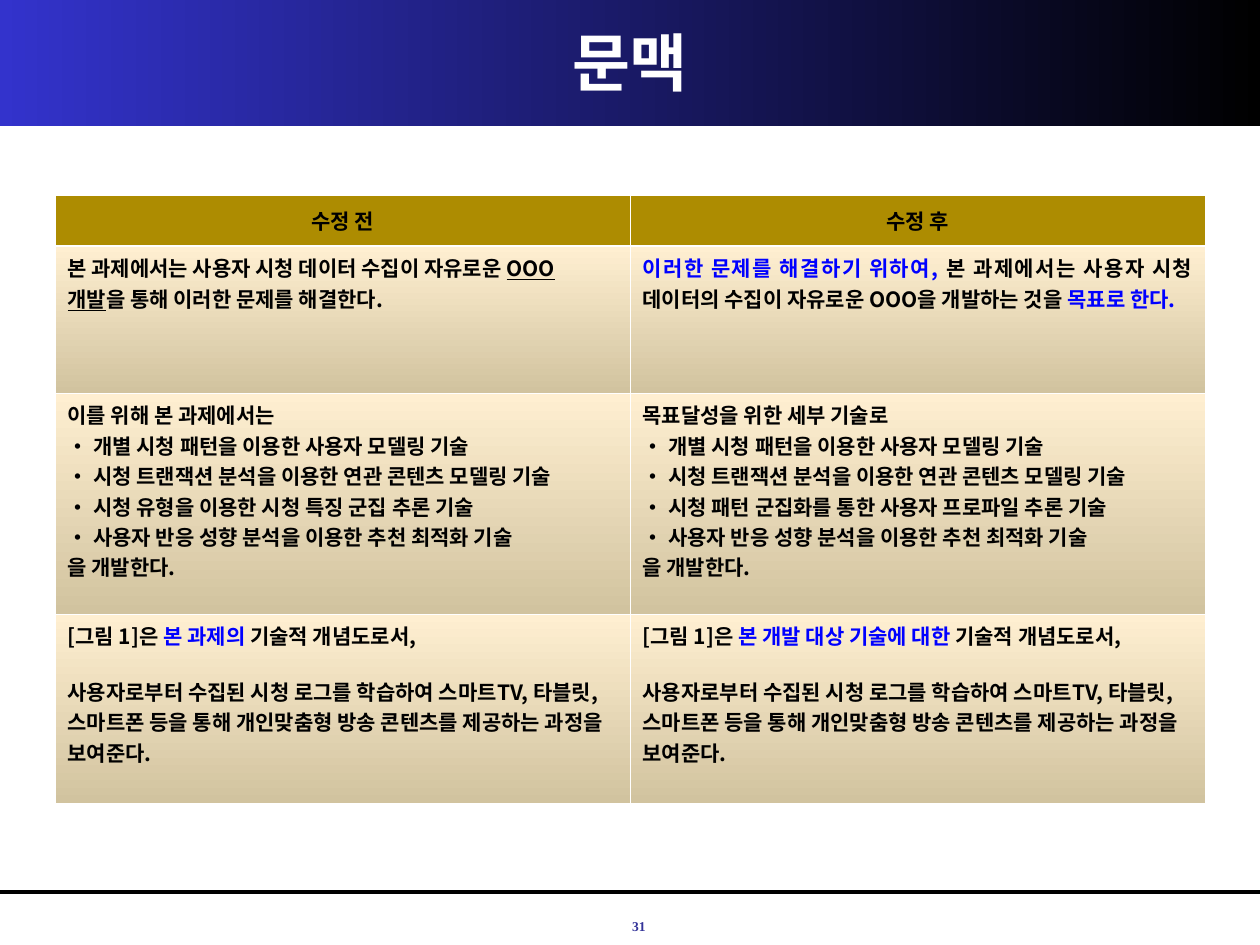
"""Build the slide that compares the wording before and after revision."""
from dataclasses import dataclass

from lxml.etree import SubElement
from pptx import Presentation
from pptx.dml.color import RGBColor
from pptx.enum.shapes import MSO_CONNECTOR as Link, MSO_SHAPE as Shape
from pptx.enum.text import MSO_ANCHOR as Anchor, PP_ALIGN as Align
from pptx.oxml import parse_xml
from pptx.oxml.ns import nsdecls, qn
from pptx.util import Emu, Pt

SCALE = 914400 / 126
SANS, SERIF = "Noto Sans CJK KR", "Times New Roman"
BLACK = RGBColor(0x00, 0x00, 0x00)
WHITE = RGBColor(0xFF, 0xFF, 0xFF)
BLUE = RGBColor(0x00, 0x00, 0xFF)
ROYAL = RGBColor(0x33, 0x33, 0xCC)
NAVY = RGBColor(0x33, 0x33, 0x99)
GOLD = RGBColor(0xAD, 0x8C, 0x01)
CREAM = RGBColor(0xFF, 0xEF, 0xD1)
SAND = RGBColor(0xD1, 0xC3, 0x9F)


@dataclass(frozen=True)
class Span:
    text: str
    color: RGBColor = BLACK
    under: bool = False


@dataclass(frozen=True)
class Para:
    spans: tuple[Span, ...]
    align: Align = Align.LEFT
    after: float = 0


def plain(text: str, align: Align = Align.LEFT) -> Para:
    return Para((Span(text),), align)


def tasks(lead: str, third: str) -> list[Para]:
    items = (
        "개별 시청 패턴을 이용한 사용자 모델링 기술",
        "시청 트랜잭션 분석을 이용한 연관 콘텐츠 모델링 기술",
        third,
        "사용자 반응 성향 분석을 이용한 추천 최적화 기술",
    )
    return [plain(lead), *(plain(f"• {item}") for item in items), plain("을 개발한다.")]


def figure(topic: str) -> list[Para]:
    head = Span("[그림 1]은 "), Span(topic, BLUE), Span("기술적 개념도로서,")
    body = ("사용자로부터 수집된 시청 로그를 학습하여 스마트TV, 타블릿, 스마트폰 등을 통해 "
            "개인맞춤형 방송 콘텐츠를 제공하는 과정을 보여준다.")
    return [Para(head, after=14.5), plain(body)]


HEIGHTS = 51, 147, 221, 189
ROWS = [
    [[plain("수정 전", Align.CENTER)], [plain("수정 후", Align.CENTER)]],
    [
        [Para((Span("본 과제에서는 사용자 시청 데이터 수집이 자유로운 "),
               Span("OOO 개발", under=True),
               Span("을 통해 이러한 문제를 해결한다.")))],
        [Para((Span("이러한 문제를 해결하기 위하여, ", BLUE),
               Span("본 과제에서는 사용자 시청 데이터의 수집이 자유로운 OOO을 개발하는 것을 "),
               Span("목표로 한다. ", BLUE)), Align.JUSTIFY, 5)],
    ],
    [tasks("이를 위해 본 과제에서는", "시청 유형을 이용한 시청 특징 군집 추론 기술"),
     tasks("목표달성을 위한 세부 기술로", "시청 패턴 군집화를 통한 사용자 프로파일 추론 기술")],
    [figure("본 과제의 "), figure("본 개발 대상 기술에 대한 ")],
]


def px(size: int) -> Emu:
    return Emu(round(size * SCALE))


def box(*sizes: int) -> list[Emu]:
    return [px(size) for size in sizes]


def style(para, size: float, color: RGBColor, face: str = SANS) -> None:
    font = para.font
    font.size, font.bold, font.name = Pt(size), True, face
    font.color.rgb = color
    SubElement(font._rPr, qn("a:ea"), typeface=face)


def blend(fill, start: RGBColor, end: RGBColor, angle: int) -> None:
    fill.gradient()
    fill.gradient_angle = angle
    for stop, color in zip(fill.gradient_stops, (start, end)):
        stop.color.rgb = color


def edge(cell, side: str, width: float) -> None:
    cell._tc.get_or_add_tcPr().append(parse_xml(
        f'<a:ln{side} {nsdecls("a")} w="{Pt(width)}"><a:solidFill>'
        f'<a:srgbClr val="{WHITE}"/></a:solidFill></a:ln{side}>'))


def write(frame, paras: list[Para]) -> None:
    for i, item in enumerate(paras):
        para = frame.add_paragraph() if i else frame.paragraphs[0]
        para.alignment, para.space_after = item.align, Pt(item.after)
        style(para, 12, BLACK)
        for span in item.spans:
            run = para.add_run()
            run.text = span.text
            if span.color != BLACK:
                run.font.color.rgb = span.color
            if span.under:
                run.font.underline = True


def draw_band(slide) -> None:
    band = slide.shapes.add_shape(Shape.RECTANGLE, *box(0, 0, 1260, 126))
    band.shadow.inherit = False
    band.line.fill.background()
    blend(band.fill, ROYAL, BLACK, 0)


def draw_title(slide) -> None:
    title = slide.shapes.title
    title.left, title.top, title.width, title.height = box(30, 10, 1200, 95)
    slide.shapes._spTree.append(title._element)
    frame = title.text_frame
    frame.text, frame.vertical_anchor = "문맥", Anchor.BOTTOM
    para = frame.paragraphs[0]
    para.alignment = Align.CENTER
    style(para, 36, WHITE)


def draw_table(slide) -> None:
    frame = slide.shapes.add_table(len(ROWS), 2, *box(55, 195, 1150, sum(HEIGHTS)))
    table = frame.table
    table.horz_banding = False
    for r, (row, height) in enumerate(zip(ROWS, HEIGHTS)):
        table.rows[r].height = px(height)
        for c, paras in enumerate(row):
            cell = table.cell(r, c)
            for side in "LRTB":
                thick = (r, side) in ((0, "B"), (1, "T"))
                edge(cell, side, 1.47 if thick else 0.45)
            if r:
                blend(cell.fill, CREAM, SAND, 270)
            else:
                cell.fill.solid()
                cell.fill.fore_color.rgb = GOLD
                cell.vertical_anchor = Anchor.MIDDLE
            write(cell.text_frame, paras)


def draw_foot(slide) -> None:
    rule = slide.shapes.add_connector(Link.STRAIGHT, *box(0, 892, 1260, 892))
    rule.line.width = Pt(2.25)
    rule.line.color.rgb = BLACK
    SubElement(rule._element.spPr, qn("a:effectLst"))
    frame = slide.shapes.add_textbox(*box(600, 910, 58, 30)).text_frame
    frame.word_wrap, frame.vertical_anchor = True, Anchor.BOTTOM
    frame.text = "31"
    para = frame.paragraphs[0]
    para.alignment, para.line_spacing = Align.RIGHT, 0.8
    style(para, 7.7, NAVY, SERIF)


def main() -> None:
    deck = Presentation()
    deck.slide_width, deck.slide_height = box(1260, 945)
    slide = deck.slides.add_slide(deck.slide_layouts[5])
    draw_band(slide)
    draw_title(slide)
    draw_table(slide)
    draw_foot(slide)
    deck.save("out.pptx")


if __name__ == "__main__":
    main()
